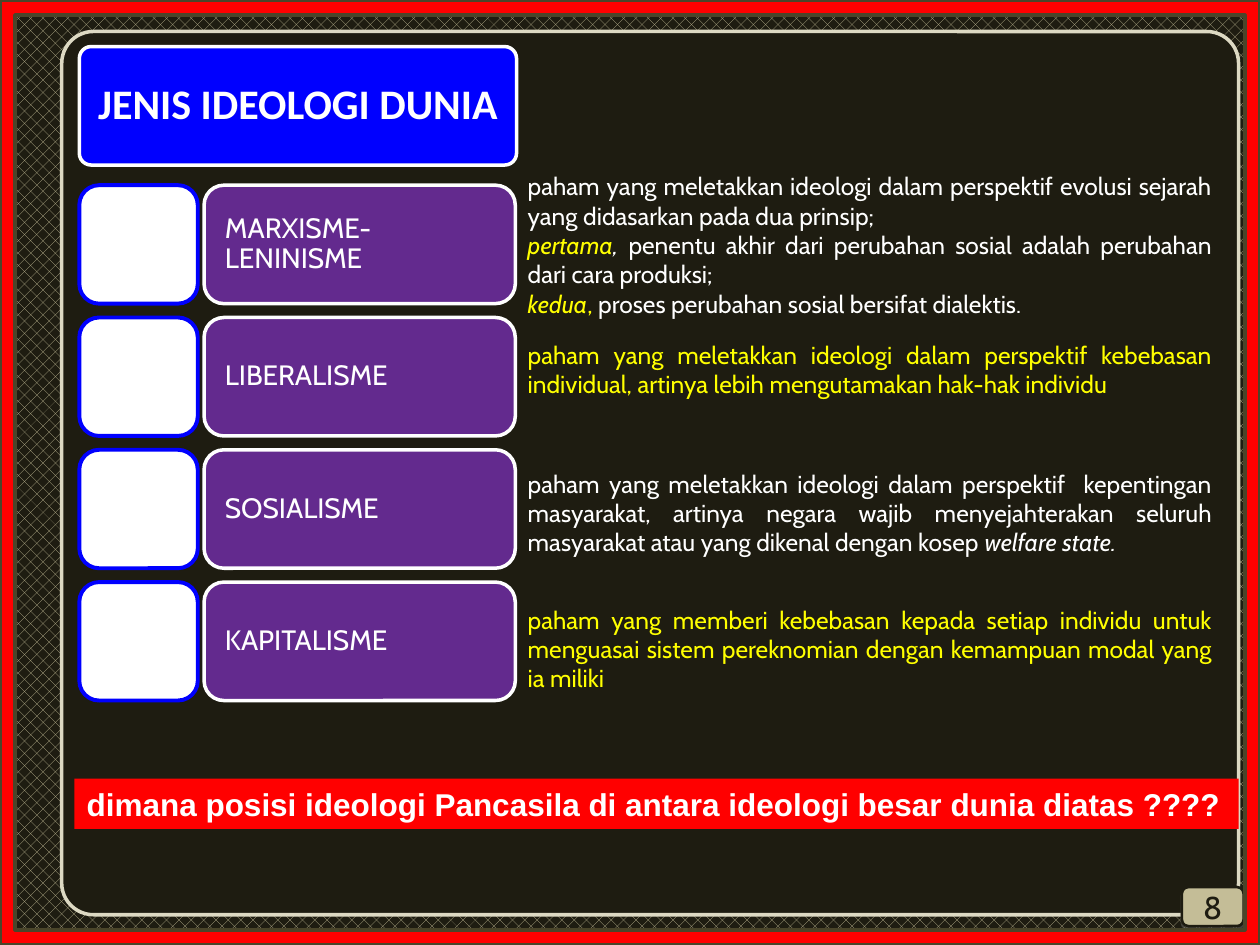
from dataclasses import dataclass

import lxml.etree
import pptx
import pptx.dml.color
import pptx.enum.dml
import pptx.enum.shapes
import pptx.enum.text
import pptx.oxml
import pptx.oxml.ns
import pptx.util

Inches = pptx.util.Inches
Pt = pptx.util.Pt
Shape = pptx.enum.shapes.MSO_SHAPE
Align = pptx.enum.text.PP_ALIGN
Anchor = pptx.enum.text.MSO_ANCHOR

COLORS = {
    "dark": "1E1C11", "tan": "C4BD97", "cream": "DDD9C3", "olive": "4A452A",
    "red": "FF0000", "blue": "0000FF", "purple": "632A8E",
    "white": "FFFFFF", "yellow": "FFFF00",
}


@dataclass
class Span:
    text: str
    color: str = "white"
    size: float = 14
    font: str = "Cabin"
    bold: bool = False
    italic: bool = False


@dataclass
class Ideology:
    name: str
    top: float
    height: float
    paras: list[list[Span]]


def rgb(name: str) -> pptx.dml.color.RGBColor:
    return pptx.dml.color.RGBColor.from_string(COLORS[name])


def add_box(shapes, kind, at: tuple, fill: str, line: str | None = None,
            width: float = 2, corner: float | None = None):
    box = shapes.add_shape(kind, *(Inches(length) for length in at))
    box.shadow.inherit = False
    box.fill.solid()
    box.fill.fore_color.rgb = rgb(fill)
    if line:
        box.line.color.rgb = rgb(line)
        box.line.width = Pt(width)
    else:
        box.line.fill.background()
    if corner is not None:
        box.adjustments[0] = corner
    return box


def write(box, paras: list[list[Span]], align=Align.LEFT, anchor=Anchor.MIDDLE,
          inset: tuple[float, float] = (0.1, 0.05), spacing: float = 1) -> None:
    frame = box.text_frame
    frame.word_wrap = True
    frame.vertical_anchor = anchor
    frame.margin_left = frame.margin_right = Inches(inset[0])
    frame.margin_top = frame.margin_bottom = Inches(inset[1])
    for index, spans in enumerate(paras):
        para = frame.add_paragraph() if index else frame.paragraphs[0]
        para.alignment = align
        para.line_spacing = spacing
        for span in spans:
            run = para.add_run()
            run.text = span.text
            run.font.name = span.font
            run.font.size = Pt(span.size)
            run.font.bold = span.bold
            run.font.italic = span.italic
            run.font.color.rgb = rgb(span.color)


def drop_shadow(box) -> None:
    effects = box._element.spPr.find(pptx.oxml.ns.qn("a:effectLst"))
    effects.append(pptx.oxml.parse_xml(
        f'<a:outerShdw {pptx.oxml.ns.nsdecls("a")} dist="20000" dir="5400000" '
        'rotWithShape="0"><a:srgbClr val="808080"><a:alpha val="38000"/>'
        '</a:srgbClr></a:outerShdw>'))


IDEOLOGIES = [
    Ideology("MARXISME-LENINISME", 1.31, 1.28, [
        [Span("paham yang meletakkan ideologi dalam perspektif evolusi sejarah "
              "yang didasarkan pada dua prinsip; ")],
        [Span("pertama", "yellow", italic=True), Span(", ", italic=True),
         Span("penentu akhir dari perubahan sosial adalah perubahan dari cara produksi;")],
        [Span("kedua", "yellow", italic=True), Span(", ", "yellow"),
         Span("proses perubahan sosial bersifat dialektis.")],
    ]),
    Ideology("LIBERALISME", 2.65, 0.57, [
        [Span("paham yang meletakkan ideologi dalam perspektif kebebasan individual, "
              "artinya lebih mengutamakan hak-hak individu", "yellow")],
    ]),
    Ideology("SOSIALISME", 3.67, 0.81, [
        [Span("paham yang meletakkan ideologi dalam perspektif  kepentingan masyarakat, "
              "artinya negara wajib menyejahterakan seluruh masyarakat atau yang "
              "dikenal dengan kosep "),
         Span("welfare state.", italic=True)],
    ]),
    Ideology("KAPITALISME", 4.75, 0.57, [
        [Span("paham yang memberi kebebasan kepada setiap individu untuk menguasai "
              "sistem pereknomian dengan kemampuan modal yang ia miliki", "yellow")],
    ]),
]
TILE = 0.94
FIRST_ROW, ROW_STEP = 1.47, 1.05

deck = pptx.Presentation()
deck.slide_width, deck.slide_height = Inches(10), Inches(7.5)
page = deck.slides.add_slide(deck.slide_layouts[6])

# Patterned background, panel, page number and frame
backdrop = page.background.fill
backdrop.patterned()
backdrop.pattern = pptx.enum.dml.MSO_PATTERN.PERCENT_30
backdrop.fore_color.rgb = rgb("tan")
backdrop.back_color.rgb = rgb("dark")
add_box(page.shapes, Shape.ROUNDED_RECTANGLE, (0.49, 0.25, 9.34, 7.01),
        "dark", "cream", corner=0.036)
badge = add_box(page.shapes, Shape.ROUNDED_RECTANGLE, (9.38, 7.04, 0.49, 0.31),
                "tan", "dark", 1.5)
drop_shadow(badge)
write(badge, [[Span("8", "dark", 18)]], Align.CENTER, inset=(0, 0))
add_box(page.shapes, Shape.FRAME, (0, 0, 10, 7.5), "red", "olive", corner=0.016)

# Heading and rows of ideologies
listing = page.shapes.add_group_shape().shapes
heading = add_box(listing, Shape.ROUNDED_RECTANGLE, (0.63, 0.37, 3.47, TILE),
                  "blue", "white", corner=0.1)
write(heading, [[Span("JENIS IDEOLOGI DUNIA", size=24, font="Calibri", bold=True)]],
      Align.CENTER, inset=(0.05, 0.03), spacing=0.9)
for row, ideology in enumerate(IDEOLOGIES):
    top = FIRST_ROW + row * ROW_STEP
    add_box(listing, Shape.ROUNDED_RECTANGLE, (0.63, top, TILE, TILE),
            "white", "blue", 2.25)
    label = add_box(listing, Shape.ROUNDED_RECTANGLE, (1.62, top, 2.47, TILE),
                    "purple", "white")
    write(label, [[Span(ideology.name, size=16)]], inset=(0.12, 0.12), spacing=0.9)

# Descriptions
for ideology in IDEOLOGIES:
    description = page.shapes.add_textbox(
        Inches(4.09), Inches(ideology.top), Inches(5.63), Inches(ideology.height))
    write(description, ideology.paras, Align.JUSTIFY, Anchor.TOP)

# Closing question
question = add_box(page.shapes, Shape.RECTANGLE, (0.59, 6.18, 9.24, 0.4), "red")
write(question, [[Span("dimana posisi ideologi Pancasila di antara ideologi besar "
                       "dunia diatas ????", size=18, font="Arial", bold=True)]],
      anchor=Anchor.TOP)

deck.save("out.pptx")
